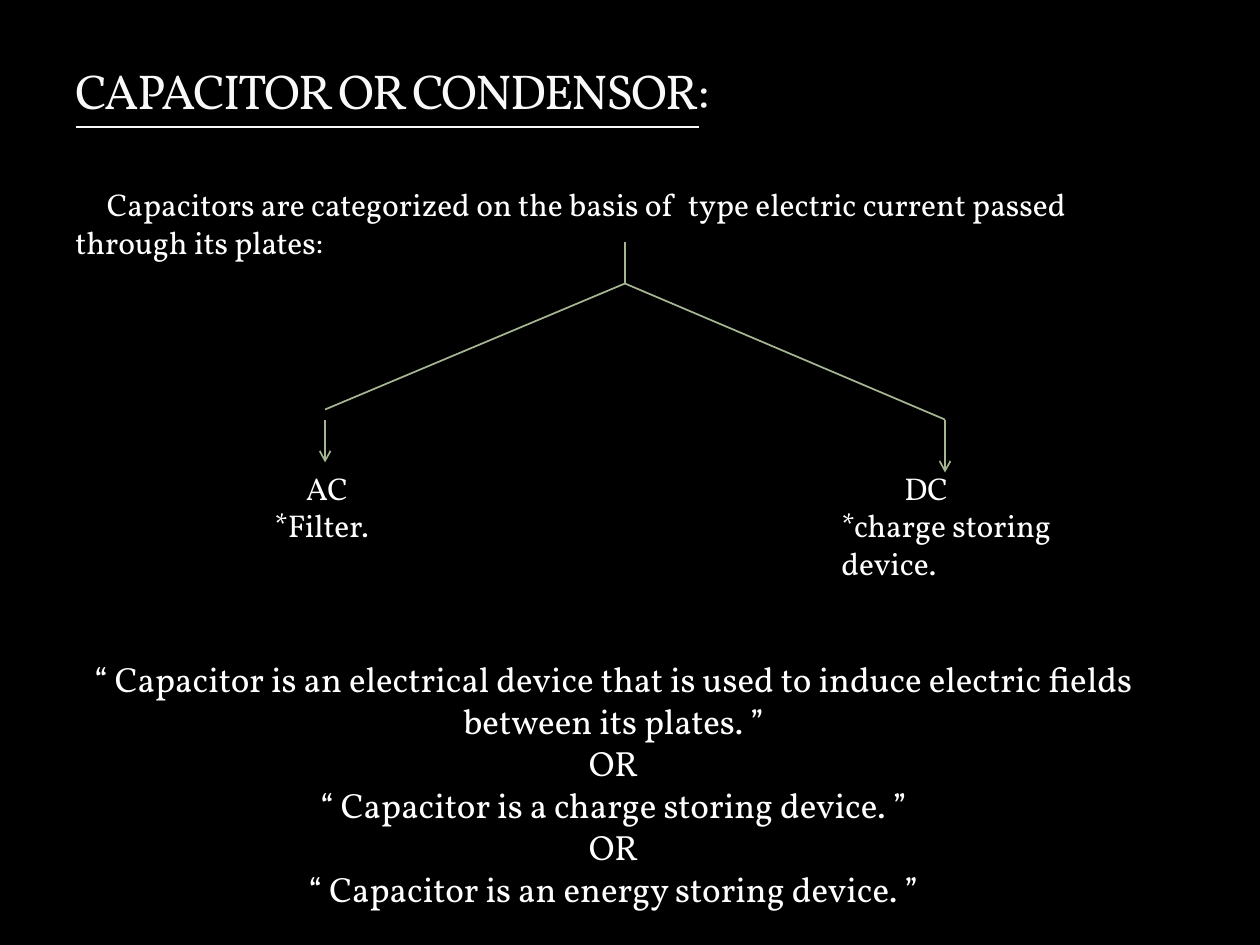
from pptx import Presentation
from pptx.dml.color import RGBColor
from pptx.enum.shapes import MSO_CONNECTOR
from pptx.enum.text import MSO_ANCHOR, PP_ALIGN
from pptx.oxml.ns import qn
from pptx.util import Inches, Pt
from lxml.etree import SubElement

COLORS = {"back": "000000", "title": "F9F9F9", "text": "FFFFFF", "line": "A5B592"}
FONT = "Vollkorn"
WIDE, HIGH = 10, 7.5


def color(name):
    return RGBColor.from_string(COLORS[name])


def write(frame, paras, size=18, tone="text", align=PP_ALIGN.LEFT,
          anchor=MSO_ANCHOR.TOP, indent=0, under=False, track=0):
    """Each paragraph is a list of runs; indent moves the first line."""
    frame.word_wrap = True
    frame.vertical_anchor = anchor
    for i, runs in enumerate(paras):
        para = frame.paragraphs[0] if i == 0 else frame.add_paragraph()
        para.alignment = align
        if indent and i == 0:
            para._p.get_or_add_pPr().set("indent", str(Inches(indent)))
        for j, text in enumerate(runs):
            run = para.add_run()
            run.text = text
            font = run.font
            font.name, font.size = FONT, Pt(size)
            font.color.rgb = color(tone)
            font.underline = under and j == 0
            if track:
                run._r.get_or_add_rPr().set("spc", str(track))


def label(slide, box, lines, **style):
    shape = slide.shapes.add_textbox(*map(Inches, box))
    write(shape.text_frame, [[line] for line in lines], **style)


def link(slide, start, end, arrow=False):
    line = slide.shapes.add_connector(
        MSO_CONNECTOR.STRAIGHT, *map(Inches, (*start, *end)))
    line.line.color.rgb = color("line")
    line.line.width = Pt(1)
    if arrow:
        SubElement(line.line._get_or_add_ln(), qn("a:tailEnd"), type="arrow")
    SubElement(line._element.spPr, qn("a:effectLst"))


def header(slide, box):
    title = slide.shapes.title
    title.left, title.top, title.width, title.height = map(Inches, box)
    write(title.text_frame, [["CAPACITOR OR CONDENSOR", ":"]], size=28,
          tone="title", anchor=MSO_ANCHOR.BOTTOM, under=True, track=-100)


def tree(slide, box):
    """Stem, two branches with arrows, and a label below each."""
    left, top, width, height = box
    right, low = left + width, top + height
    fork = (4.96, top + 0.33)
    link(slide, (fork[0], top), fork)
    # x of arrow, end of branch, arrow tip, label offset and width, indent, text
    arms = [
        (left, low - 0.5, low - 0.08, 0.5, 1.33, 0.71, 0.25, ["AC", "*Filter."]),
        (right, low - 0.42, low, 0.92, 2.33, 1.01, 0.5,
         ["DC", "*charge storing device."]),
    ]
    for x, bend, tip, shift, wide, high, indent, lines in arms:
        link(slide, fork, (x, bend))
        link(slide, (x, low - 0.42), (x, tip), arrow=True)
        label(slide, (x - shift, low - 0.08, wide, high), lines, indent=indent)


def build():
    deck = Presentation()
    deck.slide_width, deck.slide_height = Inches(WIDE), Inches(HIGH)
    slide = deck.slides.add_slide(deck.slide_layouts[5])
    fill = slide.background.fill
    fill.solid()
    fill.fore_color.rgb = color("back")

    # Title and lead
    header(slide, (0.5, 0.3, 8.17, 0.7))
    label(slide, (0.5, 1.42, 8.92, 1.01),
          ["Capacitors are categorized on the basis of  type electric current "
           "passed through its plates:"], indent=0.25)

    # Types of capacitor
    tree(slide, (2.58, 1.92, 4.92, 1.83))

    # Definitions
    label(slide, (0.33, 5.17, 9.08, 2.12),
          ["“ Capacitor is an electrical device that is used to induce "
           "electric fields between its plates. ”",
           "OR",
           "“ Capacitor is a charge storing device. ”",
           "OR",
           "“ Capacitor is an energy storing device. ”"],
          size=20, align=PP_ALIGN.CENTER)
    deck.save("out.pptx")


build()
